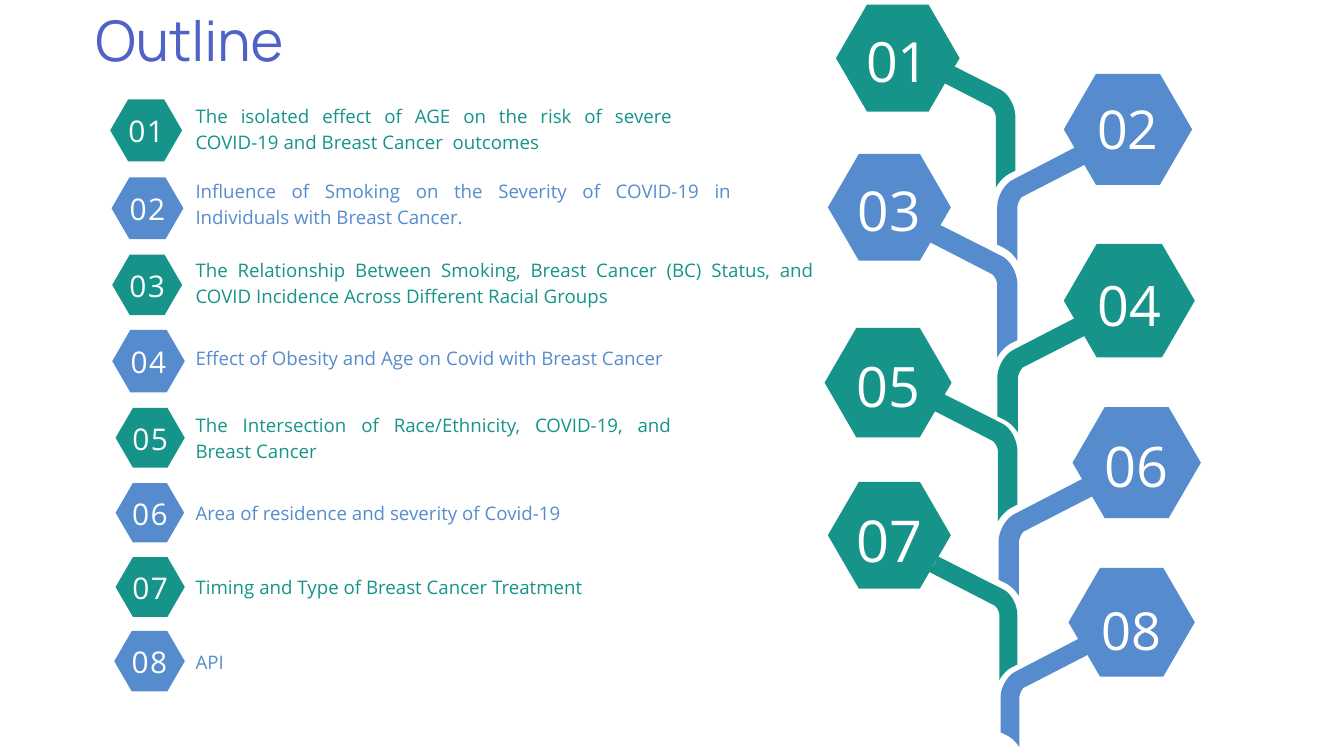
import pptx
import pptx.dml.color
import pptx.enum.shapes
import pptx.enum.text
import pptx.util

PX = 9144
COLORS = {"teal": "16948A", "blue": "568CCD", "title": "5062C6", "white": "FFFFFF"}
BODY_FONT = "Open Sans"
TITLE_FONT = "Manrope"
ALIGN = pptx.enum.text.PP_ALIGN
ANCHOR = pptx.enum.text.MSO_ANCHOR

TITLE = ("Outline", (142, -8, 756, 118))

TOPICS = [
    ("01", "teal", (164, 148, 107, 92), (150, 709, 77),
     "The isolated effect of AGE on the risk of severe COVID-19 and Breast Cancer  outcomes"),
    ("02", "blue", (166, 264, 107, 92), (262, 797, 77),
     "Influence of Smoking on the Severity of COVID-19 in Individuals with Breast Cancer."),
    ("03", "teal", (167, 379, 104, 90), (380, 920, 77),
     "The Relationship Between Smoking, Breast Cancer (BC) Status, and "
     "COVID Incidence Across Different Racial Groups"),
    ("04", "blue", (167, 491, 108, 93), (510, 752, 38),
     "Effect of Obesity and Age on Covid with Breast Cancer"),
    ("05", "teal", (172, 607, 103, 89), (610, 708, 77),
     "The Intersection of Race/Ethnicity, COVID-19, and Breast Cancer"),
    ("06", "blue", (172, 719, 102, 88), (741, 708, 38),
     "Area of residence and severity of Covid-19"),
    ("07", "teal", (172, 829, 103, 89), (852, 668, 38),
     "Timing and Type of Breast Cancer Treatment"),
    ("08", "blue", (170, 939, 105, 90), (963, 668, 38), "API"),
]
TOPIC_LEFT = 291

BRANCHES = [
    ("01", "teal", "left", (1367, 80, 144, 199), (1244, 7, 184, 159), 24, 59.4),
    ("02", "blue", "right", (1484, 213, 144, 175), (1583, 110, 191, 165), 127, 57.4),
    ("03", "blue", "left", (1365, 326, 149, 206), (1232, 229, 183, 159), 247, 58.9),
    ("04", "teal", "right", (1484, 465, 148, 179), (1583, 363, 195, 169), 386, 59.6),
    ("05", "teal", "left", (1370, 577, 144, 199), (1227, 488, 189, 163), 507, 59.7),
    ("06", "blue", "right", (1486, 710, 146, 177), (1596, 606, 191, 165), 626, 59.9),
    ("07", "teal", "left", (1381, 828, 133, 184), (1232, 717, 183, 159), 734, 61.8),
    ("08", "blue", "right", (1489, 949, 134, 163), (1590, 845, 188, 162), 875, 56.1),
]

STEMS = {
    "left": ((144, 199), [
        [(144, 94)], [(144, 174)], [(134, 179)],
        [(127, 183), (120, 190), (115, 199)], [(115, 94)],
        [(115, 90), (111, 81), (107, 79)], [(0, 24)],
        [(8, 18), (13, 9), (16, 0)], [(121, 53)],
        [(134, 59), (144, 78), (144, 94)]]),
    "right": ((144, 175), [
        [(144, 25)], [(37, 80)],
        [(34, 82), (30, 91), (30, 95)], [(30, 175)],
        [(25, 167), (18, 160), (10, 156)], [(0, 151)], [(0, 95)],
        [(0, 79), (11, 60), (24, 54)], [(128, 0)],
        [(132, 10), (137, 18), (144, 25)]]),
}
CURVE_STEPS = 8


def emu(box):
    return [round(length * PX) for length in box]


def color(name):
    return pptx.dml.color.RGBColor.from_string(COLORS[name])


def paint(shape, fill):
    shape.shadow.inherit = False
    shape.fill.solid()
    shape.fill.fore_color.rgb = color(fill)
    shape.line.fill.background()


def write(shape, text, size, fill, align, font=BODY_FONT, inset=0,
          anchor=ANCHOR.TOP, spacing=None):
    frame = shape.text_frame
    frame.word_wrap = True
    frame.auto_size = pptx.enum.text.MSO_AUTO_SIZE.NONE
    frame.vertical_anchor = anchor
    frame.margin_left = frame.margin_right = inset * PX
    frame.margin_top = frame.margin_bottom = inset * PX
    paragraph = frame.paragraphs[0]
    paragraph.alignment = align
    paragraph.line_spacing = pptx.util.Pt(round(size * 1.4, 1))
    run = paragraph.add_run()
    run.text = text
    run.font.size = pptx.util.Pt(size)
    run.font.name = font
    run.font.color.rgb = color(fill)
    if spacing:
        run._r.get_or_add_rPr().set("spc", str(spacing))


def add_text(slide, box, *args, **options):
    write(slide.shapes.add_textbox(*emu(box)), *args, **options)


def add_hexagon(slide, box, fill):
    kind = pptx.enum.shapes.MSO_SHAPE.HEXAGON
    shape = slide.shapes.add_shape(kind, *emu(box))
    shape.adjustments[0] = 0.29
    paint(shape, fill)


def flatten(segments):
    points = []
    for segment in segments:
        if len(segment) == 1:
            points += segment
            continue
        corners = [points[-1]] + segment
        for step in range(1, CURVE_STEPS + 1):
            t = step / CURVE_STEPS
            weights = ((1 - t) ** 3, 3 * t * (1 - t) ** 2, 3 * t * t * (1 - t), t ** 3)
            points.append(tuple(sum(w * corner[axis] for w, corner in zip(weights, corners))
                                for axis in (0, 1)))
    return points


def add_stem(slide, side, box, fill):
    (base_width, base_height), segments = STEMS[side]
    left, top, width, height = box
    points = [emu((left + x * width / base_width, top + y * height / base_height))
              for x, y in flatten(segments)]
    builder = slide.shapes.build_freeform(*points[0], scale=1.0)
    builder.add_line_segments(points[1:], close=True)
    paint(builder.convert_to_shape(), fill)


def main():
    presentation = pptx.Presentation()
    presentation.slide_width, presentation.slide_height = emu((2000, 1125))
    slide = presentation.slides.add_slide(presentation.slide_layouts[5])

    text, box = TITLE
    title = slide.shapes.title
    title.left, title.top, title.width, title.height = emu(box)
    write(title, text, 59.9, "title", ALIGN.LEFT, font=TITLE_FONT)

    for number, fill, side, stem, hexagon, number_top, size in BRANCHES:
        add_stem(slide, side, stem, fill)
        add_hexagon(slide, hexagon, fill)
        width, height = round(size * 2.83), round(size * 1.88)
        center = hexagon[0] + hexagon[2] / 2
        add_text(slide, (center - width / 2, number_top, width, height),
                 number, size, "white", ALIGN.CENTER)

    for number, fill, badge, (top, width, height), topic in TOPICS:
        add_hexagon(slide, badge, fill)
        x, y, w, h = badge
        add_text(slide, (x + 15, y - 7, w - 30, h + 7), number, 32, "white",
                 ALIGN.CENTER, inset=6, anchor=ANCHOR.MIDDLE, spacing=160)
        add_text(slide, (TOPIC_LEFT, top, width, height), topic, 20, fill, ALIGN.JUSTIFY)

    presentation.save("out.pptx")


if __name__ == "__main__":
    main()
